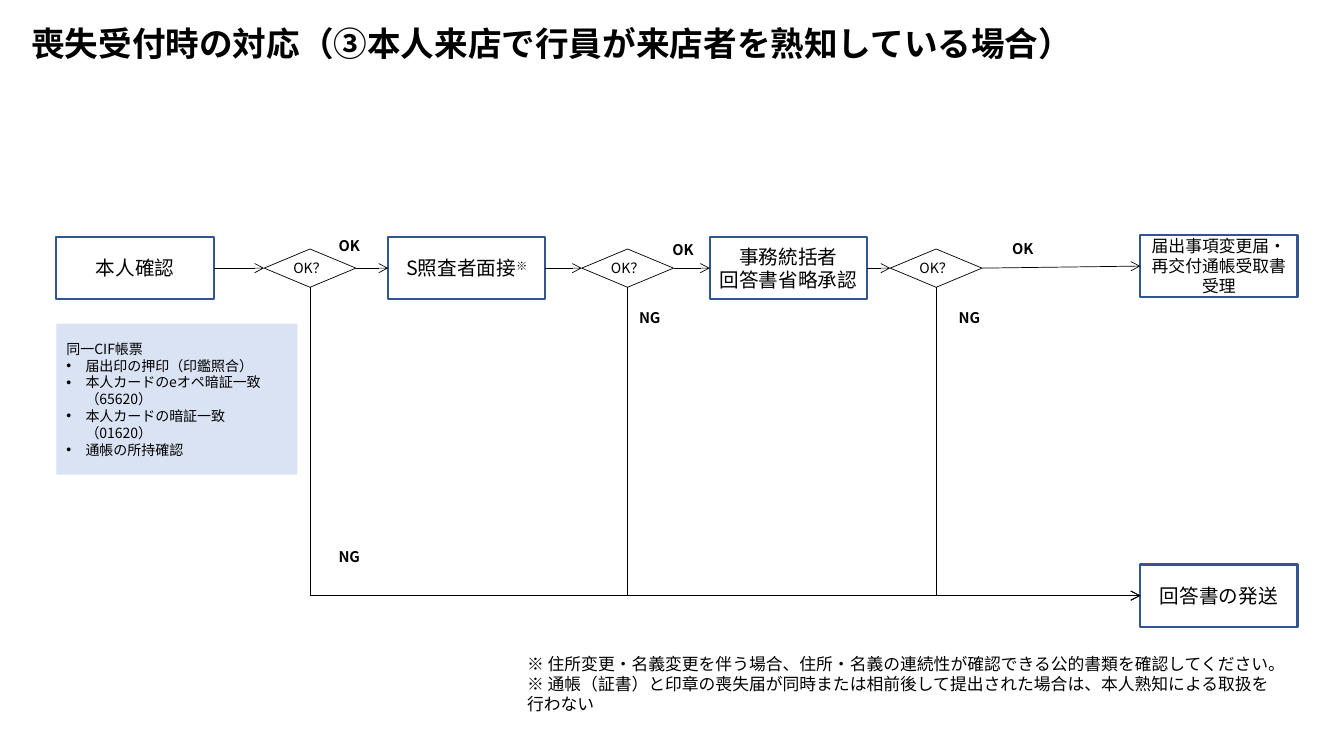
import pptx
import pptx.dml.color
import pptx.enum.shapes
import pptx.enum.text
import pptx.oxml.ns
import pptx.util
from lxml import etree

PX = 9144  # 100 px to the inch
FONT = "Noto Sans CJK JP"
BLACK = pptx.dml.color.RGBColor(0x00, 0x00, 0x00)
WHITE = pptx.dml.color.RGBColor(0xFF, 0xFF, 0xFF)
NAVY = pptx.dml.color.RGBColor(0x32, 0x54, 0x91)
PALE_BLUE = pptx.dml.color.RGBColor(0xDA, 0xE3, 0xF3)
SHAPE = pptx.enum.shapes.MSO_SHAPE
CONNECTOR = pptx.enum.shapes.MSO_CONNECTOR
ALIGN = pptx.enum.text.PP_ALIGN
qn = pptx.oxml.ns.qn


def write(shape, text, size, bold=False, align=ALIGN.LEFT, wrap=True):
    frame = shape.text_frame
    frame.text = text
    frame.word_wrap = wrap
    frame.auto_size = pptx.enum.text.MSO_AUTO_SIZE.NONE
    frame.vertical_anchor = pptx.enum.text.MSO_ANCHOR.MIDDLE
    for paragraph in frame.paragraphs:
        paragraph.alignment = align
        for run in paragraph.runs:
            run.font.size = pptx.util.Pt(size)
            run.font.bold = bold
            run.font.name = FONT
            run.font.color.rgb = BLACK
            etree.SubElement(run.font._element, qn("a:ea"), typeface=FONT)


def connect(kind, start, start_site, end):
    arrow = slide.shapes.add_connector(kind, 0, 0, 0, 0)
    arrow.begin_connect(start, start_site)
    arrow.end_connect(end, 1)
    arrow.line.color.rgb = BLACK
    arrow.line.width = pptx.util.Pt(0.5)
    etree.SubElement(arrow.line._get_or_add_ln(), qn("a:tailEnd"), type="arrow")
    etree.SubElement(arrow._element.spPr, qn("a:effectLst"))
    return arrow


deck = pptx.Presentation()
deck.slide_width = 1333 * PX
deck.slide_height = 750 * PX
slide = deck.slides.add_slide(deck.slide_layouts[5])

# Title
title = slide.shapes.title
title.left, title.top, title.width, title.height = (
    v * PX for v in (21, 11, 1150, 68))
write(title, "喪失受付時の対応（③本人来店で行員が来店者を熟知している場合）", 24, bold=True)
title.text_frame.paragraphs[0].line_spacing = 0.9

# Process steps
steps = []
for left, top, text, size, wrap in (
    (56, 235, "本人確認", 14, True),
    (385, 235, "S照査者面接", 14, False),
    (704, 235, "事務統括者\n回答書省略承認", 14, False),
    (1131, 233, "届出事項変更届・\n再交付通帳受取書受理", 12, True),
    (1131, 560, "回答書の発送", 14, True),
):
    step = slide.shapes.add_shape(
        SHAPE.RECTANGLE, left * PX, top * PX, 156 * PX, 62 * PX)
    step.shadow.inherit = False
    step.fill.solid()
    step.fill.fore_color.rgb = WHITE
    step.line.color.rgb = NAVY
    step.line.width = pptx.util.Pt(1.5)
    write(step, text, size, align=ALIGN.CENTER, wrap=wrap)
    steps.append(step)
reply = steps.pop()

# Superscript note mark after the interview step
interview = steps[1].text_frame.paragraphs[0]
mark = interview.add_run()
mark.text = "※"
mark.font.size = pptx.util.Pt(14)
mark.font.name = FONT
mark.font.color.rgb = BLACK
mark.font._element.set("baseline", "30000")
etree.SubElement(mark.font._element, qn("a:ea"), typeface=FONT)

# Decisions: OK leads to the next step, NG down to the reply
for number, left in enumerate((262, 577, 883)):
    decision = slide.shapes.add_shape(
        SHAPE.FLOWCHART_DECISION, left * PX, 247 * PX, 91 * PX, 38 * PX)
    decision.shadow.inherit = False
    decision.fill.background()
    decision.line.color.rgb = BLACK
    decision.line.width = pptx.util.Pt(0.5)
    write(decision, "OK？", 10, align=ALIGN.CENTER, wrap=False)
    connect(CONNECTOR.STRAIGHT, steps[number], 3, decision)
    connect(CONNECTOR.STRAIGHT, decision, 3, steps[number + 1])

    # One-corner elbow: a box turned 270 degrees about its centre
    rejection = connect(CONNECTOR.ELBOW, decision, 2, reply)
    across, down = rejection.width, rejection.height
    rejection.left += (across - down) // 2
    rejection.top += (down - across) // 2
    rejection.width, rejection.height = down, across
    frame = rejection._element.spPr.find(qn("a:xfrm"))
    frame.set("rot", "16200000")
    frame.set("flipH", "1")
    rejection._element.spPr.find(qn("a:prstGeom")).set("prst", "bentConnector2")

# Identity checks
checks = slide.shapes.add_shape(
    SHAPE.RECTANGLE, 56 * PX, 321 * PX, 239 * PX, 150 * PX)
checks.shadow.inherit = False
checks.fill.solid()
checks.fill.fore_color.rgb = PALE_BLUE
checks.line.fill.background()
write(checks, "同一CIF帳票\n届出印の押印（印鑑照合）\n本人カードのeオペ暗証一致（65620）\n"
      "本人カードの暗証一致（01620）\n通帳の所持確認", 10)
for check in checks.text_frame.paragraphs[1:]:
    properties = check._p.get_or_add_pPr()
    properties.set("marL", str(19 * PX))
    properties.set("indent", str(-19 * PX))
    etree.SubElement(properties, qn("a:buFont"), typeface="Arial")
    etree.SubElement(properties, qn("a:buChar"), char="•")

# Branch labels and footnotes
for left, top, width, height, text, size, bold in (
    (326, 228, 131, 32, "OK", 10.5, True),
    (657, 232, 65, 32, "OK", 10.5, True),
    (994, 231, 65, 32, "OK", 10.5, True),
    (326, 536, 131, 32, "NG", 10.5, True),
    (624, 299, 65, 32, "NG", 10.5, True),
    (941, 299, 65, 32, "NG", 10.5, True),
    (513, 655, 767, 47,
     "※ 住所変更・名義変更を伴う場合、住所・名義の連続性が確認できる公的書類を確認してください。\n"
     "※ 通帳（証書）と印章の喪失届が同時または相前後して提出された場合は、本人熟知による取扱を行わない",
     12, False),
):
    label = slide.shapes.add_textbox(
        left * PX, top * PX, width * PX, height * PX)
    write(label, text, size, bold=bold)

deck.save("out.pptx")
